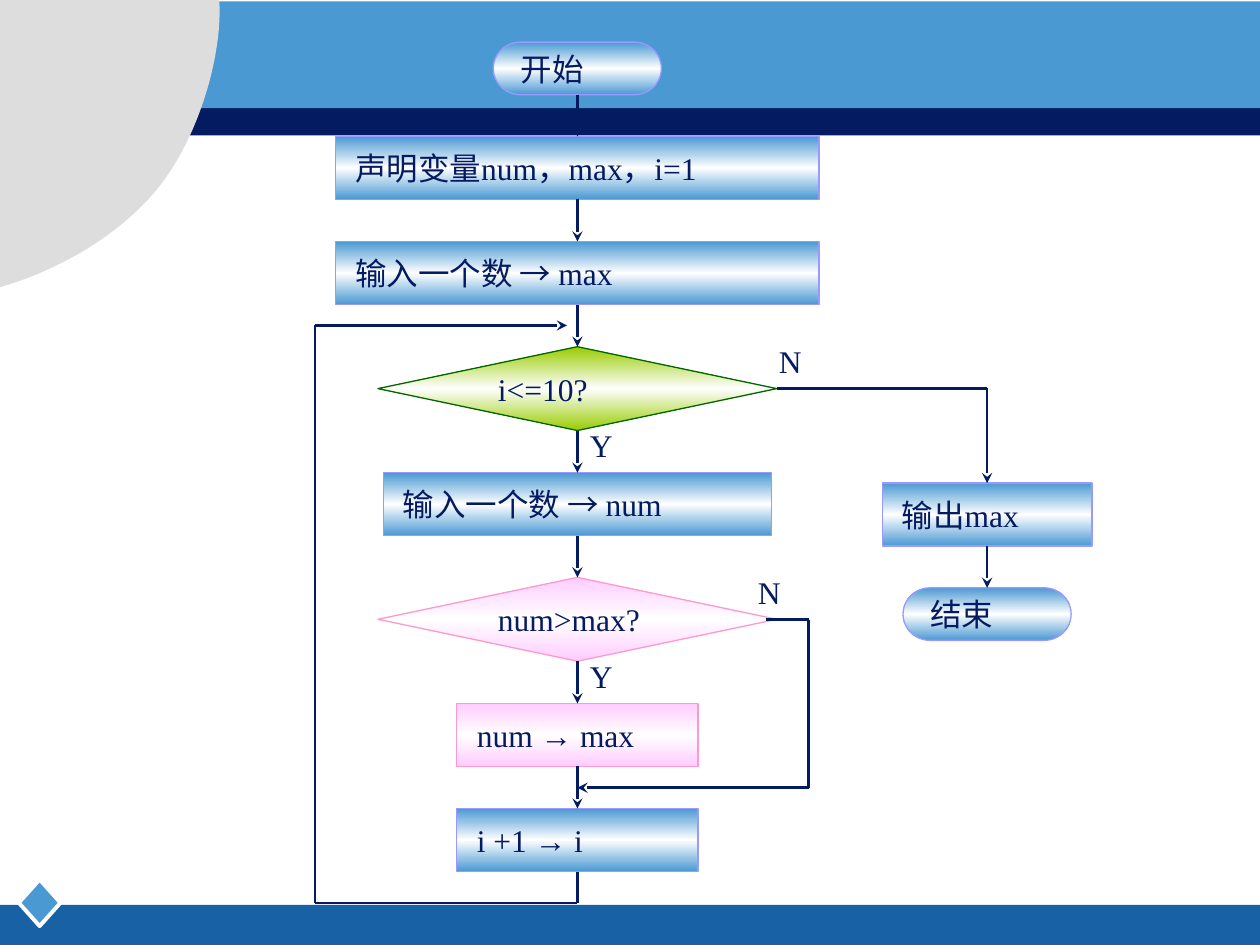
from copy import deepcopy
from itertools import pairwise

from lxml.etree import SubElement
from pptx import Presentation
from pptx.dml.color import RGBColor
from pptx.enum.shapes import MSO_CONNECTOR, MSO_SHAPE as Shape
from pptx.enum.text import MSO_ANCHOR, PP_ALIGN
from pptx.oxml.ns import qn
from pptx.util import Cm, Pt

COLORS = {
    "navy": "051B61", "blue": "4B99D3", "footer": "1861A4", "gray": "DDDDDD",
    "white": "FFFFFF", "lilac": "9999FF", "pink": "FFCCFF", "rose": "FF99CC",
    "lime": "99CC00", "green": "006600",
}
FONT = "Times New Roman"
MAIN_X = 11.64
OUTPUT_X = 19.9
LOOP_X = 6.35
SKIP_X = 16.3


def rgb(name):
    return RGBColor.from_string(COLORS[name])


def style_text(paragraph, text):
    paragraph.text = text
    paragraph.alignment = PP_ALIGN.LEFT
    paragraph.font.name = FONT
    paragraph.font.size = Pt(18)
    paragraph.font.color.rgb = rgb("navy")


def add_plain(slide, kind, left, top, width, height, fill, line=None):
    shape = slide.shapes.add_shape(kind, Cm(left), Cm(top), Cm(width), Cm(height))
    shape.shadow.inherit = False
    shape.fill.solid()
    shape.fill.fore_color.rgb = rgb(fill)
    if line:
        shape.line.color.rgb = rgb(line)
        shape.line.width = Pt(2.25)
    else:
        shape.line.fill.background()


def fill_gradient(shape, edge):
    shape.fill.gradient()
    shape.fill.gradient_angle = 90
    stop_list = shape._element.spPr.find(".//" + qn("a:gsLst"))
    middle = deepcopy(stop_list[0])
    middle.set("pos", "50000")
    stop_list.insert(1, middle)
    for stop, color in zip(shape.fill.gradient_stops, (edge, "white", edge)):
        stop.color.rgb = rgb(color)


def add_step(slide, kind, center, top, width, height, text, fill="blue", line="lilac"):
    shape = slide.shapes.add_shape(
        kind, Cm(center - width / 2), Cm(top), Cm(width), Cm(height))
    shape.shadow.inherit = False
    fill_gradient(shape, fill)
    shape.line.color.rgb = rgb(line)
    shape.line.width = Pt(0.75)
    frame = shape.text_frame
    frame.word_wrap = False
    frame.vertical_anchor = MSO_ANCHOR.MIDDLE
    style_text(frame.paragraphs[0], text)


def add_line(slide, start, end, arrow=False):
    line = slide.shapes.add_connector(
        MSO_CONNECTOR.STRAIGHT, *(Cm(value) for value in (*start, *end)))
    line.line.color.rgb = rgb("navy")
    line.line.width = Pt(1.5)
    if arrow:
        SubElement(line.line._get_or_add_ln(), qn("a:tailEnd"), type="stealth")
    SubElement(line._element.spPr, qn("a:effectLst"))


def add_route(slide, points, arrow=True):
    segments = list(pairwise(points))
    for index, (start, end) in enumerate(segments, 1):
        add_line(slide, start, end, arrow and index == len(segments))


def add_column(slide, center, steps):
    for kind, top, width, height, text, *colors in steps:
        add_step(slide, kind, center, top, width, height, text, *colors)
    for upper, lower in pairwise(steps):
        add_line(slide, (center, upper[1] + upper[3]), (center, lower[1]), True)


def add_label(slide, left, top, text):
    box = slide.shapes.add_textbox(Cm(left), Cm(top), Cm(1.69), Cm(1.09))
    box.text_frame.word_wrap = True
    style_text(box.text_frame.paragraphs[0], text)


def curve_points(start, control1, control2, end, count=24):
    for step in range(1, count + 1):
        t = step / count
        weights = ((1 - t) ** 3, 3 * t * (1 - t) ** 2, 3 * t * t * (1 - t), t ** 3)
        yield tuple(
            Cm(sum(weight * value for weight, value in zip(weights, values)))
            for values in zip(start, control1, control2, end))


def add_corner(slide):
    bend = (2.97, 4.04)
    builder = slide.shapes.build_freeform(Cm(bend[0]), Cm(bend[1]))
    builder.add_line_segments(
        [*curve_points(bend, (1.96, 5.11), (0.64, 5.61), (0, 5.79)),
         (0, 0), (Cm(4.42), 0),
         *curve_points((4.42, 0), (4.5, 1.09), (3.99, 2.97), bend)], close=True)
    shape = builder.convert_to_shape()
    shape.shadow.inherit = False
    shape.fill.solid()
    shape.fill.fore_color.rgb = rgb("gray")
    shape.line.fill.background()


def add_backdrop(slide):
    add_plain(slide, Shape.RECTANGLE, 0, 18.24, 25.4, 0.83, "footer")
    add_plain(slide, Shape.DIAMOND, 0.38, 17.73, 0.84, 0.94, "blue", "white")
    add_plain(slide, Shape.RECTANGLE, 0, 1.93, 25.4, 0.8, "navy")
    add_plain(slide, Shape.RECTANGLE, 0.08, 0.03, 25.32, 2.15, "blue")
    add_corner(slide)


def main():
    presentation = Presentation()
    presentation.slide_width = Cm(25.4)
    presentation.slide_height = Cm(19.05)
    slide = presentation.slides.add_slide(presentation.slide_layouts[6])
    add_backdrop(slide)

    add_column(slide, MAIN_X, [
        (Shape.FLOWCHART_TERMINATOR, 0.85, 3.39, 1.06, " 开始"),
        (Shape.RECTANGLE, 2.75, 9.74, 1.27, " 声明变量num，max，i=1"),
        (Shape.RECTANGLE, 4.87, 9.74, 1.27, " 输入一个数 → max"),
        (Shape.DIAMOND, 6.99, 8.04, 1.69, " i<=10?", "lime", "green"),
        (Shape.RECTANGLE, 9.53, 7.83, 1.27, " 输入一个数 → num"),
        (Shape.DIAMOND, 11.64, 8.04, 1.69, " num>max?", "pink", "rose"),
        (Shape.RECTANGLE, 14.18, 4.87, 1.27, " num → max", "pink", "rose"),
        (Shape.RECTANGLE, 16.3, 4.87, 1.27, " i +1 → i"),
    ])
    add_column(slide, OUTPUT_X, [
        (Shape.RECTANGLE, 9.74, 4.23, 1.27, " 输出max"),
        (Shape.FLOWCHART_TERMINATOR, 11.85, 3.39, 1.06, " 结束"),
    ])

    add_route(slide, [(15.66, 7.83), (OUTPUT_X, 7.83), (OUTPUT_X, 9.74)])
    add_route(slide, [(15.45, 12.49), (SKIP_X, 12.49), (SKIP_X, 15.88), (MAIN_X, 15.88)])
    add_route(slide, [(MAIN_X, 17.57), (MAIN_X, 18.2), (LOOP_X, 18.2),
                      (LOOP_X, 6.56), (11.43, 6.56)])

    for left, top, text in [(MAIN_X, 8.47, "Y"), (MAIN_X, 13.12, "Y"),
                            (15.45, 6.77, "N"), (15.03, 11.43, "N")]:
        add_label(slide, left, top, text)
    presentation.save("out.pptx")


if __name__ == "__main__":
    main()
